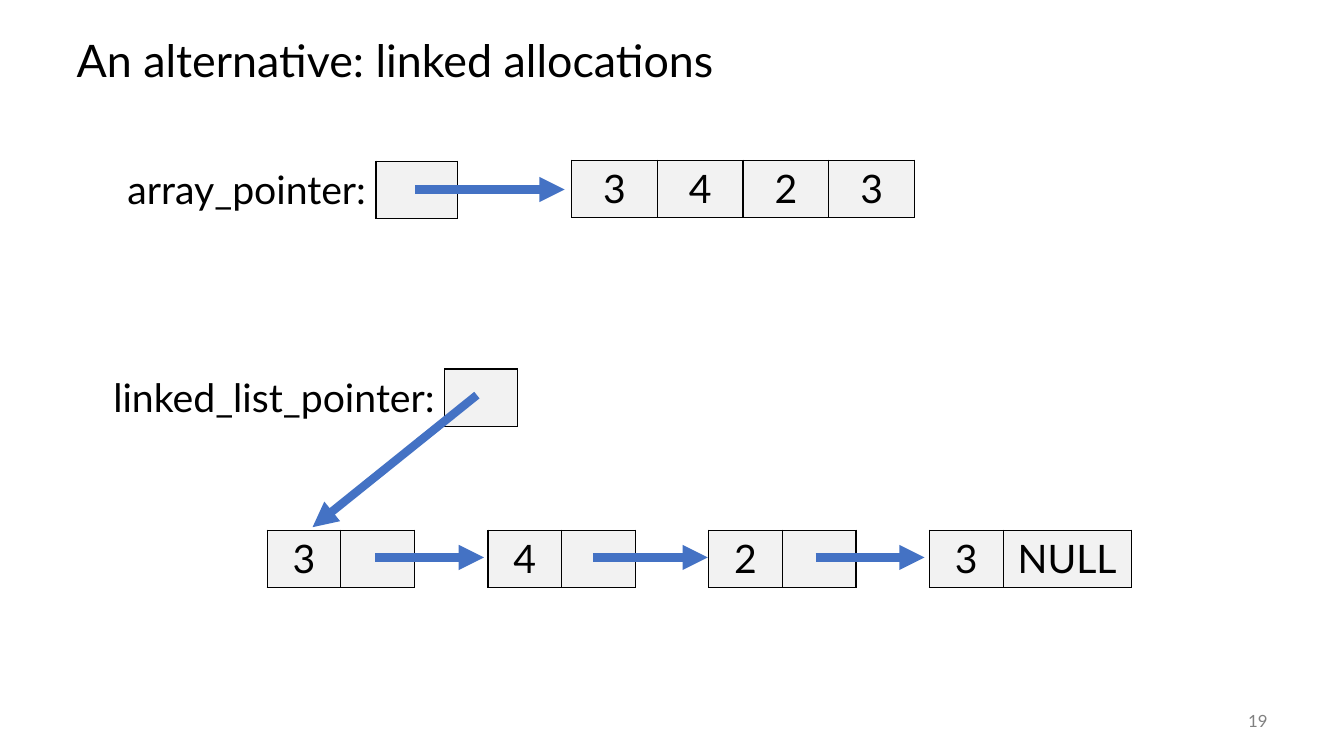
from dataclasses import dataclass

from lxml import etree
from pptx import Presentation
from pptx.dml.color import RGBColor
from pptx.enum.shapes import MSO_CONNECTOR
from pptx.enum.text import MSO_ANCHOR, PP_ALIGN
from pptx.oxml.ns import qn
from pptx.util import Pt

LEFT, MID, RIGHT = PP_ALIGN.LEFT, PP_ALIGN.CENTER, PP_ALIGN.RIGHT
CENTRE = MSO_ANCHOR.MIDDLE
LINE = MSO_CONNECTOR.STRAIGHT

PX = 9144  # EMU per px, at 100 px to the inch
FONT = "Lato"
PLAIN = "{2D5ABB26-0587-4C30-8999-92F81FD0307C}"  # table style without grid
ROW = 57
COLORS = {"ink": "000000", "cell": "F2F2F2", "arrow": "4472C4", "page": "808080"}


@dataclass(frozen=True)
class Cell:
    width: int
    text: str = ""
    filled: bool = True
    align: PP_ALIGN = MID


@dataclass(frozen=True)
class Strip:
    x: int
    y: int
    cells: list[Cell]


@dataclass(frozen=True)
class Arrow:
    x1: int
    y1: int
    x2: int
    y2: int


def color(name: str) -> RGBColor:
    return RGBColor.from_string(COLORS[name])


def write(para, text: str, size: int, ink: str, align: PP_ALIGN) -> None:
    para.alignment = align
    run = para.add_run()
    run.text = text
    run.font.name = FONT
    run.font.size = Pt(size)
    run.font.color.rgb = color(ink)


def edge(cell, side: str) -> None:
    props = cell._tc.get_or_add_tcPr()
    line = etree.SubElement(props, qn(f"a:ln{side}"), w=str(Pt(1)))
    fill = etree.SubElement(line, qn("a:solidFill"))
    etree.SubElement(fill, qn("a:srgbClr"), val=COLORS["ink"])


def draw_strip(shapes, strip: Strip) -> None:
    cells = strip.cells
    width = sum(c.width for c in cells)
    frame = shapes.add_table(
        1, len(cells), strip.x * PX, strip.y * PX, width * PX, ROW * PX
    )
    table = frame.table
    table.first_row = table.horz_banding = False
    table._tbl.tblPr.find(qn("a:tableStyleId")).text = PLAIN
    # An edge shows wherever a filled cell touches it
    solid = [False, *(c.filled for c in cells), False]
    for i, item in enumerate(cells):
        table.columns[i].width = item.width * PX
        cell = table.cell(0, i)
        before, here, after = solid[i:i + 3]
        sides = {"L": here or before, "R": here or after, "T": here, "B": here}
        for side, shown in sides.items():
            if shown:
                edge(cell, side)
        if here:
            cell.fill.solid()
            cell.fill.fore_color.rgb = color("cell")
        else:
            cell.fill.background()
        if item.text:
            write(cell.text_frame.paragraphs[0], item.text, 28, "ink", item.align)


def draw_arrow(shapes, arrow: Arrow) -> None:
    link = shapes.add_connector(
        LINE, arrow.x1 * PX, arrow.y1 * PX, arrow.x2 * PX, arrow.y2 * PX
    )
    link.line.width = Pt(6)
    link.line.color.rgb = color("arrow")
    etree.SubElement(link.line._get_or_add_ln(), qn("a:tailEnd"), type="triangle")
    etree.SubElement(link._element.spPr, qn("a:effectLst"))


def label(width: int, text: str) -> Cell:
    return Cell(width, text, False, RIGHT)


def blank(width: int) -> Cell:
    return Cell(width, filled=False)


# Memory cells: one array, then nodes of value and pointer with a gap between
NODE = 73
array = [blank(113)] + [Cell(85, n) for n in "3423"]
nodes = [blank(297)]
for value in "342":
    nodes += [Cell(NODE, value), Cell(NODE), blank(NODE)]
nodes[-1:] = [blank(NODE), Cell(NODE, "3"), Cell(127, "NULL")]

STRIPS = [
    Strip(454, 159, array),
    Strip(-32, 526, nodes),
    Strip(95, 160, [label(278, "array_pointer:"), Cell(81)]),
    Strip(81, 366, [label(360, "linked_list_pointer:"), Cell(72)]),
]
ARROWS = [
    Arrow(412, 188, 560, 188),
    Arrow(473, 392, 310, 523),
    Arrow(372, 553, 480, 553),
    Arrow(588, 553, 702, 553),
    Arrow(809, 553, 917, 553),
]


def main() -> None:
    deck = Presentation()
    deck.slide_width, deck.slide_height = 1333 * PX, 750 * PX
    slide = deck.slides.add_slide(deck.slide_layouts[5])
    shapes = slide.shapes

    # Title
    title = shapes.title
    title.left, title.top = 66 * PX, 25 * PX
    title.width, title.height = 1200 * PX, 75 * PX
    title.text_frame.vertical_anchor = CENTRE
    head = title.text_frame.paragraphs[0]
    head.line_spacing = 0.9
    write(head, "An alternative: linked allocations", 32, "ink", LEFT)

    # Page number
    page = shapes.add_textbox(1167 * PX, 695 * PX, 100 * PX, 40 * PX).text_frame
    page.word_wrap = True
    page.vertical_anchor = CENTRE
    write(page.paragraphs[0], "19", 12, "page", RIGHT)

    # Cells and pointers
    for strip in STRIPS:
        draw_strip(shapes, strip)
    for arrow in ARROWS:
        draw_arrow(shapes, arrow)

    deck.save("out.pptx")


if __name__ == "__main__":
    main()
